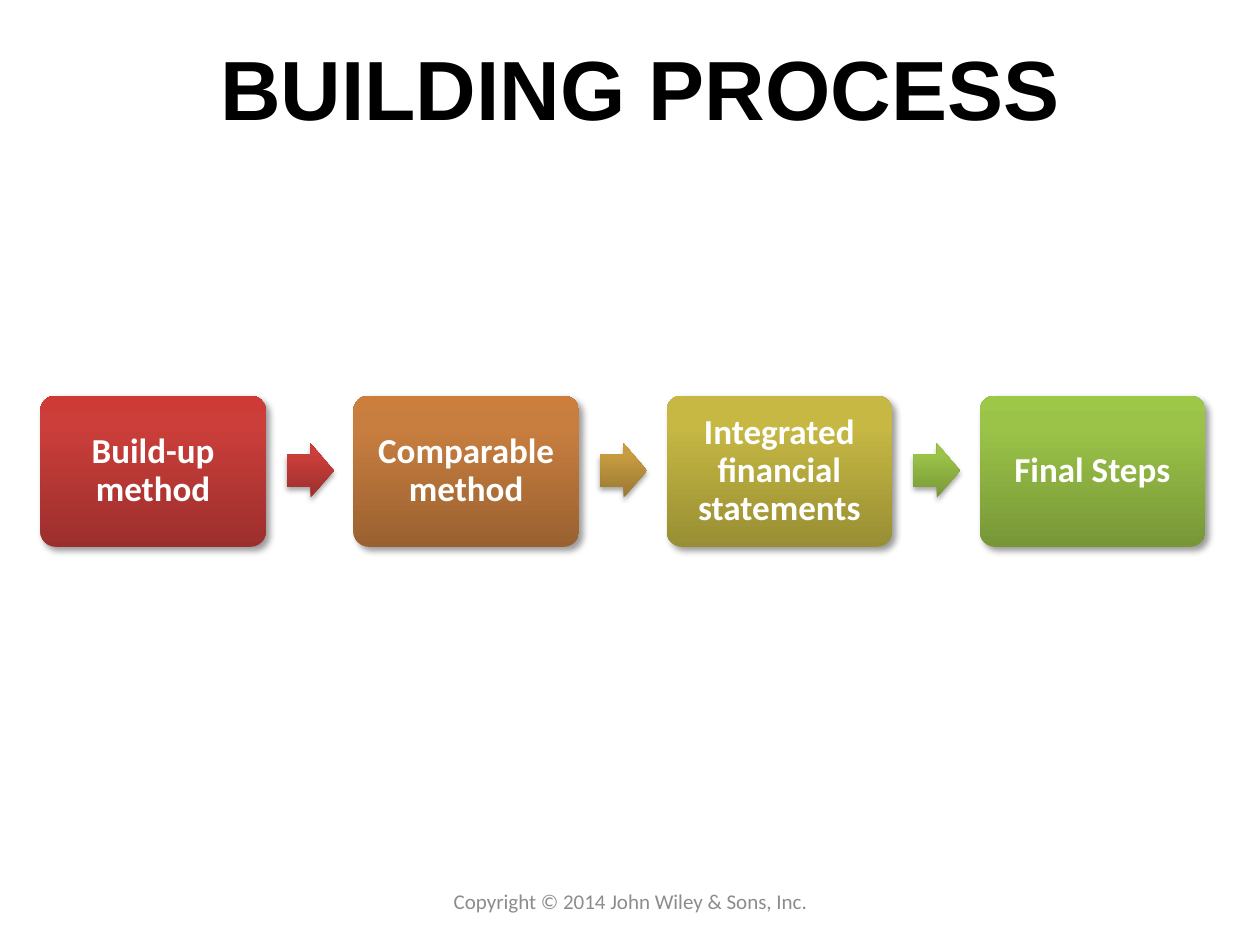
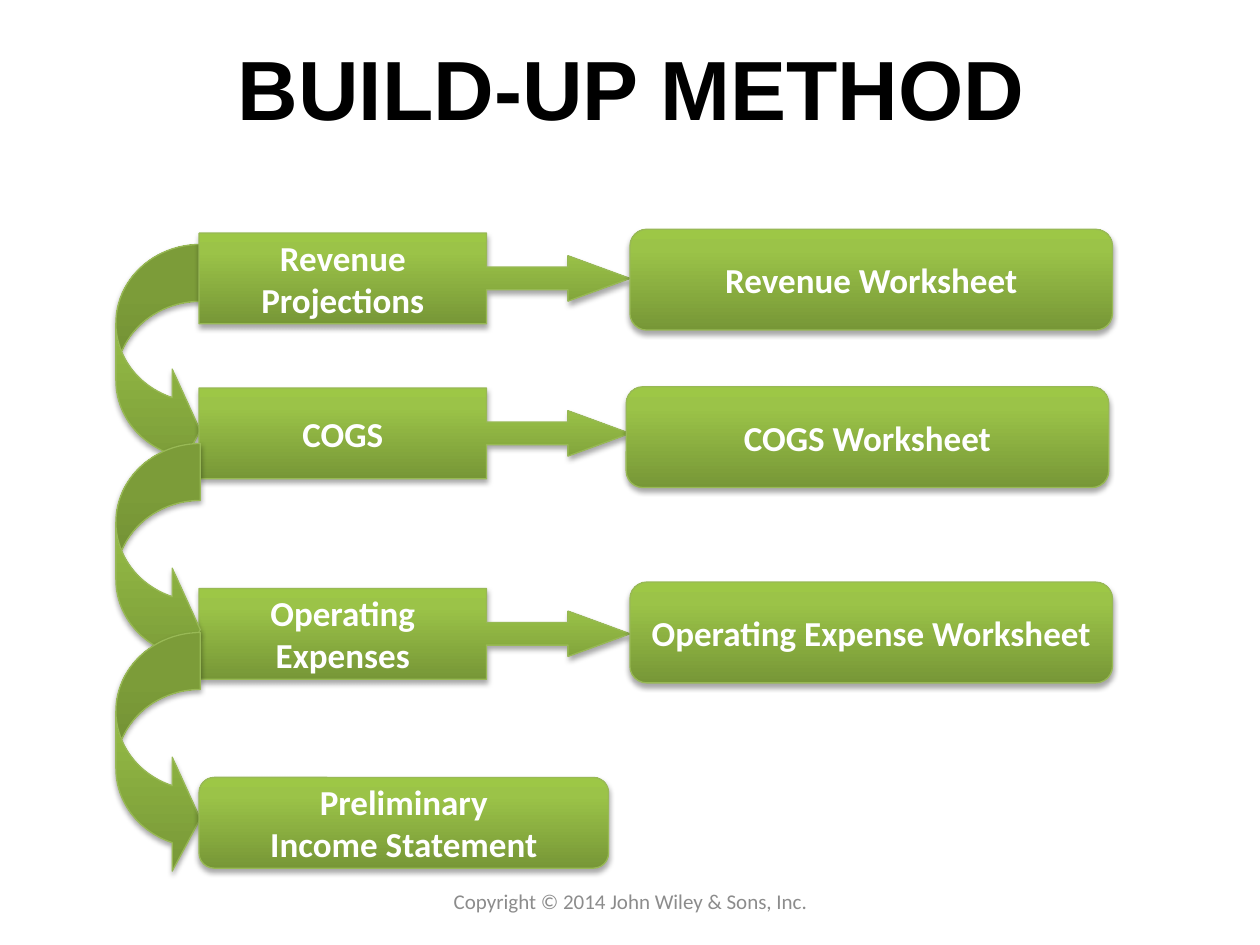
import copy

import pptx
import pptx.dml.color
import pptx.enum.shapes
import pptx.enum.text
import pptx.oxml
import pptx.oxml.ns
import pptx.util

Inches = pptx.util.Inches
Pt = pptx.util.Pt
Shape = pptx.enum.shapes.MSO_SHAPE
Anchor = pptx.enum.text.MSO_ANCHOR

RED = ("9C2F2D", "CB3E3A", "CE3B37")
ORANGE = ("9A6130", "C87E3F", "CC7E3C")
GOLD = ("997832", "C79C41", "CB9D3F")
OLIVE = ("988E34", "C6B843", "C9BB41")
GREEN = ("779737", "9BC348", "9DC746")
GREEN_LINE = "98B955"
WHITE = "FFFFFF"
BLACK = "000000"
GREY = "8C8C8C"

CARD_SHADOW = (40, 4, 3, 45)
LOW_SHADOW = (35, 3.1, 1.8, 90)


def color(value):
    return pptx.dml.color.RGBColor.from_string(value)


def write(holder, text, size=20, font="Calibri", ink=WHITE, bold=True,
          anchor=Anchor.MIDDLE, wrap=True, inset=None, spacing=None):
    frame = holder.text_frame
    frame.word_wrap = wrap
    frame.vertical_anchor = anchor
    if inset is not None:
        frame.margin_left = frame.margin_right = Inches(inset)
        frame.margin_top = frame.margin_bottom = Inches(inset)
    for index, line in enumerate(text.split("\n")):
        para = frame.add_paragraph() if index else frame.paragraphs[0]
        para.alignment = pptx.enum.text.PP_ALIGN.CENTER
        if spacing:
            para.line_spacing = spacing
        span = para.add_run()
        span.text = line
        span.font.name = font
        span.font.size = Pt(size)
        span.font.bold = bold
        span.font.color.rgb = color(ink)


def add_text(page, left, top, width, height, text, **style):
    box = page.shapes.add_textbox(Inches(left), Inches(top), Inches(width), Inches(height))
    write(box, text, **style)


def fill_gradient(shape, colors):
    shape.fill.gradient()
    shape.fill.gradient_angle = 90
    stops = shape._element.spPr.find(".//" + pptx.oxml.ns.qn("a:gsLst"))
    stops.append(copy.deepcopy(stops[-1]))
    for stop, value, position in zip(shape.fill.gradient_stops, colors, (0, 0.8, 1)):
        stop.color.rgb = color(value)
        stop.position = position


def cast_shadow(shape, opacity, blur, distance, angle):
    shape.shadow.inherit = False
    effects = shape._element.spPr.find(pptx.oxml.ns.qn("a:effectLst"))
    effects.append(pptx.oxml.parse_xml(
        f'<a:outerShdw {pptx.oxml.ns.nsdecls("a")} blurRad="{Pt(blur)}" '
        f'dist="{Pt(distance)}" dir="{angle * 60000}" rotWithShape="0">'
        f'<a:srgbClr val="{BLACK}"><a:alpha val="{opacity * 1000}"/></a:srgbClr>'
        '</a:outerShdw>'))


def add_block(page, kind, left, top, width, height, colors=GREEN,
              line=GREEN_LINE, shadow=LOW_SHADOW, adjust=()):
    shape = page.shapes.add_shape(kind, Inches(left), Inches(top), Inches(width), Inches(height))
    for index, value in enumerate(adjust):
        shape.adjustments[index] = value
    fill_gradient(shape, colors)
    if line:
        shape.line.color.rgb = color(line)
        shape.line.width = Pt(0.75)
    else:
        shape.line.fill.background()
    cast_shadow(shape, *shadow)
    return shape


def add_page(deck, title, left, width):
    page = deck.slides.add_slide(deck.slide_layouts[6])
    add_text(page, left, 0.24, width, 0.91, title, size=48, font="Arial",
             ink=BLACK, anchor=Anchor.TOP)
    add_text(page, 3.42, 6.95, 3.17, 0.4, "Copyright © 2014 John Wiley & Sons, Inc.",
             size=12, ink=GREY, bold=False)
    return page


def add_card(page, left, text, colors):
    card = add_block(page, Shape.ROUNDED_RECTANGLE, left, 3.14, 1.79, 1.2, colors,
                     line=None, shadow=CARD_SHADOW, adjust=(0.1,))
    write(card, text, inset=0.08, spacing=0.9)


def add_step_arrow(page, left, colors):
    add_block(page, Shape.RIGHT_ARROW, left, 3.52, 0.37, 0.43, colors,
              line=None, adjust=(0.6, 0.5))


def add_curved_arrow(page, top):
    add_block(page, Shape.CURVED_RIGHT_ARROW, 0.92, top, 0.67, 1.93,
              adjust=(0.675, 1.35, 0.333))


def add_callout(page, top, text):
    callout = add_block(page, Shape.RIGHT_ARROW_CALLOUT, 1.58, top, 3.42, 0.72,
                        adjust=(0.25, 0.25, 0.683, 0.667))
    write(callout, text, wrap=False)


def add_result(page, left, top, width, height, text):
    result = add_block(page, Shape.ROUNDED_RECTANGLE, left, top, width, height)
    write(result, text, wrap=False)


def build_process(deck):
    page = add_page(deck, "BUILDING PROCESS", 0.33, 9.5)
    steps = (("Build-up method", RED, RED),
             ("Comparable method", ORANGE, GOLD),
             ("Integrated financial statements", OLIVE, GREEN),
             ("Final Steps", GREEN, None))
    for index, (text, card_colors, arrow_colors) in enumerate(steps):
        left = 0.32 + index * 2.485
        add_card(page, left, text, card_colors)
        if arrow_colors:
            add_step_arrow(page, left + 1.96, arrow_colors)


def build_method(deck):
    page = add_page(deck, "BUILD-UP METHOD", 0.19, 9.64)
    add_curved_arrow(page, 1.94)
    for top, text in ((1.85, "Revenue\nProjections"), (3.08, "COGS"),
                      (4.67, "Operating\nExpenses")):
        add_callout(page, top, text)
    for top in (3.52, 5.02):
        add_curved_arrow(page, top)
    for left, top, text in ((5, 1.82, "Revenue Worksheet"), (4.97, 3.07, "COGS Worksheet"),
                            (5, 4.62, "Operating Expense Worksheet")):
        add_result(page, left, top, 3.83, 0.8, text)
    add_result(page, 1.58, 6.17, 3.25, 0.72, "Preliminary\nIncome Statement")


def main():
    deck = pptx.Presentation()
    deck.slide_width = Inches(10)
    deck.slide_height = Inches(7.5)
    build_process(deck)
    build_method(deck)
    deck.save("out.pptx")


if __name__ == "__main__":
    main()
